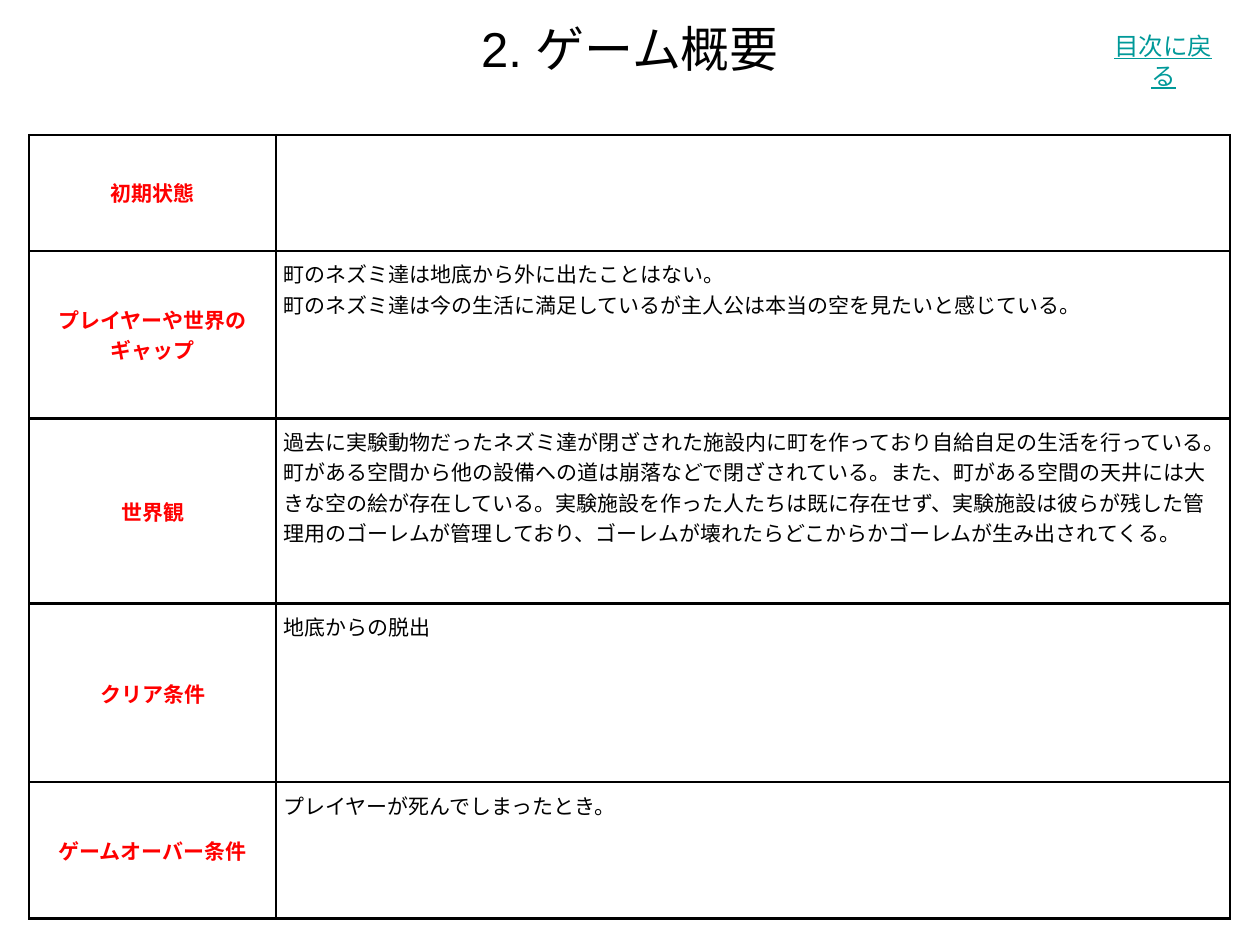
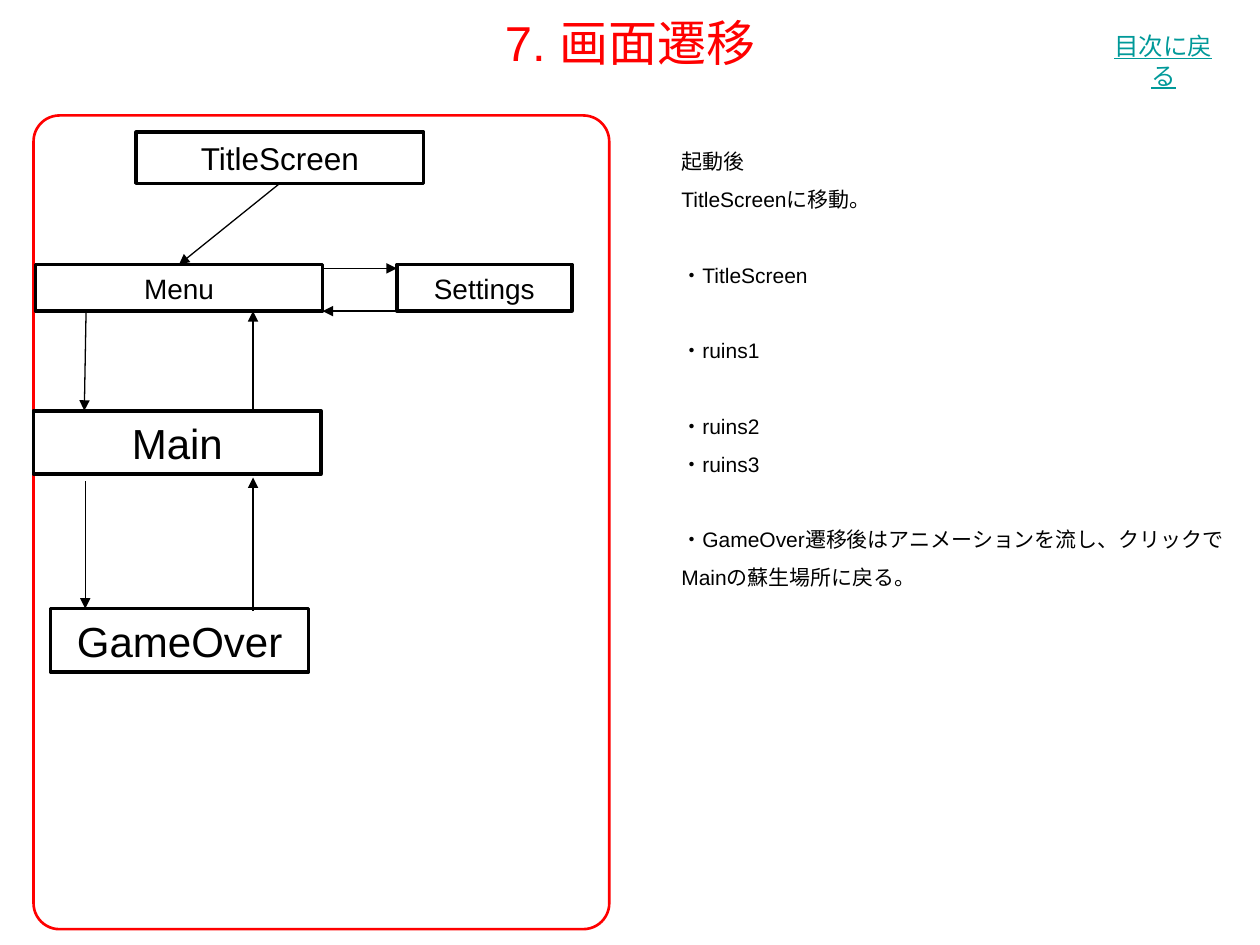
from lxml.etree import SubElement
from pptx import Presentation
from pptx.dml.color import RGBColor
from pptx.enum.shapes import MSO_CONNECTOR, MSO_SHAPE
from pptx.enum.text import MSO_ANCHOR, PP_ALIGN
from pptx.oxml.ns import qn
from pptx.util import Pt

COLORS = {"ink": "000000", "alert": "FF0000", "link": "009999", "paper": "FFFFFF"}
LATIN_FONT = "Arial"
TABLE_FONT = "Noto Sans CJK JP"
BODY_SIZE = 12
BLANK_LINE = 21.6
TOP, BOTTOM = 0, 2

OVERVIEW = [
    ("初期状態", "", 66.2),
    ("プレイヤーや世界の\vギャップ",
     "町のネズミ達は地底から外に出たことはない。\n"
     "町のネズミ達は今の生活に満足しているが主人公は本当の空を見たいと感じている。", 95.8),
    ("世界観",
     "過去に実験動物だったネズミ達が閉ざされた施設内に町を作っており自給自足の生活を行っている。"
     "町がある空間から他の設備への道は崩落などで閉ざされている。"
     "また、町がある空間の天井には大きな空の絵が存在している。"
     "実験施設を作った人たちは既に存在せず、実験施設は彼らが残した管理用のゴーレムが管理しており、"
     "ゴーレムが壊れたらどこからかゴーレムが生み出されてくる。", 105.8),
    ("クリア条件", "地底からの脱出", 102.2),
    ("ゲームオーバー条件", "プレイヤーが死んでしまったとき。", 77.8),
]

# Each line of the explanation, and whether a gap precedes it
EXPLANATION = [
    ("起動後", False),
    ("TitleScreenに移動。", False),
    ("・TitleScreen", True),
    ("・ruins1", True),
    ("・ruins2", True),
    ("・ruins3", False),
    ("・GameOver遷移後はアニメーションを流し、クリックでMainの蘇生場所に戻る。", True),
]

# Screen name: left, top, width, height, text size
SCREENS = {
    "TitleScreen": (77.8, 75.6, 164.2, 29.2, 18),
    "Menu": (20.2, 151.2, 164.2, 26.6, 16),
    "Settings": (226.8, 151.2, 100, 26.6, 16),
    "Main": (19.2, 234.7, 164.2, 36.2, 24),
    "GameOver": (28.8, 347.8, 147.6, 36.2, 24),
}


def rgb(name):
    return RGBColor.from_string(COLORS[name])


def style_text(frame, size, color, font=LATIN_FONT, align=PP_ALIGN.LEFT,
               bold=False, underline=False):
    for paragraph in frame.paragraphs:
        paragraph.alignment = align
        for run in paragraph.runs:
            run.font.size = Pt(size)
            run.font.name = font
            run.font.bold = bold
            run.font.underline = underline
            run.font.color.rgb = rgb(color)
            east_asian = SubElement(run.font._element, qn("a:ea"))
            east_asian.set("typeface", font)


def add_text(slide, text, left, top, width, height, size, color, **style):
    frame = slide.shapes.add_textbox(Pt(left), Pt(top), Pt(width), Pt(height)).text_frame
    frame.word_wrap = True
    frame.text = text
    style_text(frame, size, color, **style)
    return frame


def add_header(slide, title, top, height, color):
    heading = add_text(slide, title, 0, top, 720, height, 28, color, align=PP_ALIGN.CENTER)
    heading.vertical_anchor = MSO_ANCHOR.MIDDLE
    back = add_text(slide, "目次に戻る", 629.3, 14.4, 82.8, 24.5, 14, "link",
                    align=PP_ALIGN.CENTER, underline=True)
    back.margin_right = Pt(19)


def border_cell(cell):
    properties = cell._tc.get_or_add_tcPr()
    for position, side in enumerate(("a:lnL", "a:lnR", "a:lnT", "a:lnB")):
        line = SubElement(properties, qn(side), w=str(Pt(1.5)))
        fill = SubElement(line, qn("a:solidFill"))
        SubElement(fill, qn("a:srgbClr"), val=COLORS["ink"])
        # Borders come before the cell's fill
        properties.insert(position, line)


def fill_cell(cell, text, color, **style):
    cell.fill.solid()
    cell.fill.fore_color.rgb = rgb("paper")
    border_cell(cell)
    cell.margin_left = cell.margin_right = Pt(4.3)
    cell.margin_top = cell.margin_bottom = Pt(4.3)
    cell.text_frame.text = text
    style_text(cell.text_frame, BODY_SIZE, color, font=TABLE_FONT, **style)


def add_overview_table(slide):
    height = sum(row[2] for row in OVERVIEW)
    table = slide.shapes.add_table(len(OVERVIEW), 2, Pt(16.7), Pt(77.1),
                                   Pt(686.2), Pt(height)).table
    table.first_row = table.horz_banding = False
    for column, width in zip(table.columns, (141.1, 545.1)):
        column.width = Pt(width)
    for index, (topic, description, row_height) in enumerate(OVERVIEW):
        table.rows[index].height = Pt(row_height)
        topic_cell = table.cell(index, 0)
        fill_cell(topic_cell, topic, "alert", align=PP_ALIGN.CENTER, bold=True)
        topic_cell.vertical_anchor = MSO_ANCHOR.MIDDLE
        fill_cell(table.cell(index, 1), description, "ink")


def add_box(slide, kind, left, top, width, height, line_color, line_width):
    box = slide.shapes.add_shape(kind, Pt(left), Pt(top), Pt(width), Pt(height))
    box.shadow.inherit = False
    box.line.color.rgb = rgb(line_color)
    box.line.width = Pt(line_width)
    return box


def add_frame(slide):
    frame = add_box(slide, MSO_SHAPE.ROUNDED_RECTANGLE, 19.2, 66, 329, 465, "alert", 1.5)
    frame.adjustments[0] = 0.045
    frame.fill.background()


def add_screen(slide, name):
    *place, size = SCREENS[name]
    screen = add_box(slide, MSO_SHAPE.RECTANGLE, *place, "ink", 2)
    screen.fill.solid()
    screen.fill.fore_color.rgb = rgb("paper")
    screen.text_frame.text = name
    style_text(screen.text_frame, size, "ink", align=PP_ALIGN.CENTER)
    return screen


def add_arrow(slide, start, end):
    ends = [Pt(value) for value in (*start, *end)]
    arrow = slide.shapes.add_connector(MSO_CONNECTOR.STRAIGHT, *ends)
    arrow.line.color.rgb = rgb("ink")
    arrow.line.width = Pt(0.75)
    SubElement(arrow.line._get_or_add_ln(), qn("a:tailEnd"), type="triangle")
    SubElement(arrow._element.spPr, qn("a:effectLst"))
    return arrow


def add_transitions(slide, screens):
    to_menu = add_arrow(slide, (159.9, 104.8), (102.3, 151.2))
    to_menu.begin_connect(screens["TitleScreen"], BOTTOM)
    to_menu.end_connect(screens["Menu"], TOP)

    # Menu and Settings
    add_arrow(slide, (184.4, 153.4), (226.8, 153.4))
    from_settings = add_arrow(slide, (276.8, 177.8), (184.4, 177.8))
    from_settings.begin_connect(screens["Settings"], BOTTOM)

    # Down on the left, back up on the right
    down_x, up_x = 48.7, 144.6
    add_arrow(slide, (down_x + 0.5, 177.8), (down_x - 0.5, 234.7))
    add_arrow(slide, (up_x, 234.7), (up_x, 177.8))
    add_arrow(slide, (down_x, 275), (down_x, 347.8))
    add_arrow(slide, (up_x, 349.2), (up_x, 272.9))


def add_explanation(slide):
    text = "\n".join(line for line, _ in EXPLANATION)
    frame = add_text(slide, text, 382.3, 74.2, 329, 266.4, BODY_SIZE, "ink")
    for paragraph, (_, gap) in zip(frame.paragraphs, EXPLANATION):
        paragraph.line_spacing = 1.5
        if gap:
            paragraph.space_before = Pt(BLANK_LINE)


def main():
    deck = Presentation()
    deck.slide_width, deck.slide_height = Pt(720), Pt(540)
    blank = deck.slide_layouts[6]

    # Game overview
    overview = deck.slides.add_slide(blank)
    add_header(overview, "2. ゲーム概要", 0, 54.7, "ink")
    add_overview_table(overview)

    # Screen transitions
    transitions = deck.slides.add_slide(blank)
    add_header(transitions, "7. 画面遷移", -1.4, 50.4, "alert")
    add_explanation(transitions)
    add_frame(transitions)
    screens = {name: add_screen(transitions, name) for name in SCREENS}
    add_transitions(transitions, screens)

    deck.save("out.pptx")


if __name__ == "__main__":
    main()
